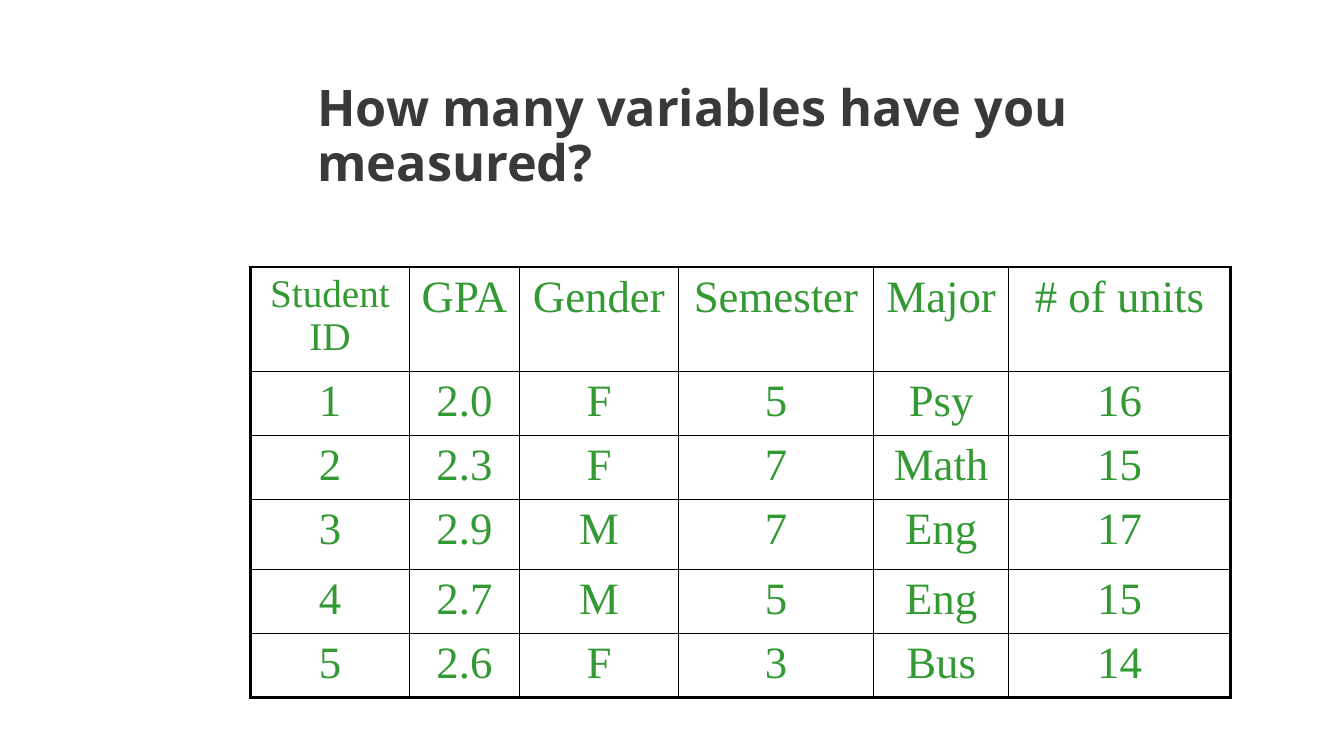
from lxml import etree
from pptx import Presentation
from pptx.dml.color import RGBColor
from pptx.enum import text as t
from pptx.oxml import ns
from pptx.util import Cm, Pt

COLORS = {"title": "3B3838", "entry": "339933", "border": "000000"}
SLIDE_SIZE = (33.87, 19.05)
TITLE_BOX = (7.75, 1.88, 26.11, 3.18)
TABLE_BOX = (6.32, 6.73, 24.69, 10.62)
COLUMN_WIDTHS = [3.99, 2.79, 3.99, 4.93, 3.4, 5.59]
ROW_HEIGHTS = [2.42, 1.61, 1.61, 1.78, 1.61, 1.61]
STUDENTS = [
    ["Student ID", "GPA", "Gender", "Semester", "Major", "# of units"],
    ["1", "2.0", "F", "5", "Psy", "16"],
    ["2", "2.3", "F", "7", "Math", "15"],
    ["3", "2.9", "M", "7", "Eng", "17"],
    ["4", "2.7", "M", "5", "Eng", "15"],
    ["5", "2.6", "F", "3", "Bus", "14"],
]
OUTER_LINE, INNER_LINE = Pt(2.25), Pt(1)


def write(frame, words, *, font, size, color, bold=False,
          align=t.PP_ALIGN.LEFT, line_spacing=1.0):
    paragraph = frame.paragraphs[0]
    paragraph.alignment = align
    paragraph.line_spacing = line_spacing
    run = paragraph.add_run()
    run.text = words
    run.font.name = font
    run.font.size = Pt(size)
    run.font.bold = bold
    run.font.color.rgb = RGBColor.from_string(COLORS[color])


def draw_borders(cell, outer_sides):
    """Draw all four cell borders, heavier on the sides at the table's edge."""
    properties = cell._tc.get_or_add_tcPr()
    for side in "LRTB":
        width = OUTER_LINE if side in outer_sides else INNER_LINE
        line = etree.SubElement(properties, ns.qn(f"a:ln{side}"), w=str(width))
        fill = etree.SubElement(line, ns.qn("a:solidFill"))
        etree.SubElement(fill, ns.qn("a:srgbClr"), val=COLORS["border"])


def add_title(slide, box):
    frame = slide.shapes.add_textbox(*map(Cm, box)).text_frame
    frame.word_wrap = True
    frame.vertical_anchor = t.MSO_ANCHOR.MIDDLE
    write(frame, "How many variables have you measured?", font="Open Sans",
          size=36, color="title", bold=True, line_spacing=0.9)


def add_student_table(slide, box):
    last_row, last_column = len(STUDENTS) - 1, len(COLUMN_WIDTHS) - 1
    table = slide.shapes.add_table(
        last_row + 1, last_column + 1, *map(Cm, box)).table
    table.first_row = table.horz_banding = False
    for column, width in zip(table.columns, COLUMN_WIDTHS):
        column.width = Cm(width)
    for row, height in zip(table.rows, ROW_HEIGHTS):
        row.height = Cm(height)
    for r, student in enumerate(STUDENTS):
        for c, entry in enumerate(student):
            cell = table.cell(r, c)
            edges = {"L": c == 0, "R": c == last_column,
                     "T": r == 0, "B": r == last_row}
            draw_borders(cell, [side for side, outer in edges.items() if outer])
            cell.fill.background()
            write(cell.text_frame, entry, font="Times New Roman",
                  size=28 if r == c == 0 else 32, color="entry",
                  align=t.PP_ALIGN.CENTER)


def main():
    deck = Presentation()
    deck.slide_width, deck.slide_height = map(Cm, SLIDE_SIZE)
    slide = deck.slides.add_slide(deck.slide_layouts[6])
    add_title(slide, TITLE_BOX)
    add_student_table(slide, TABLE_BOX)
    deck.save("out.pptx")


if __name__ == "__main__":
    main()
